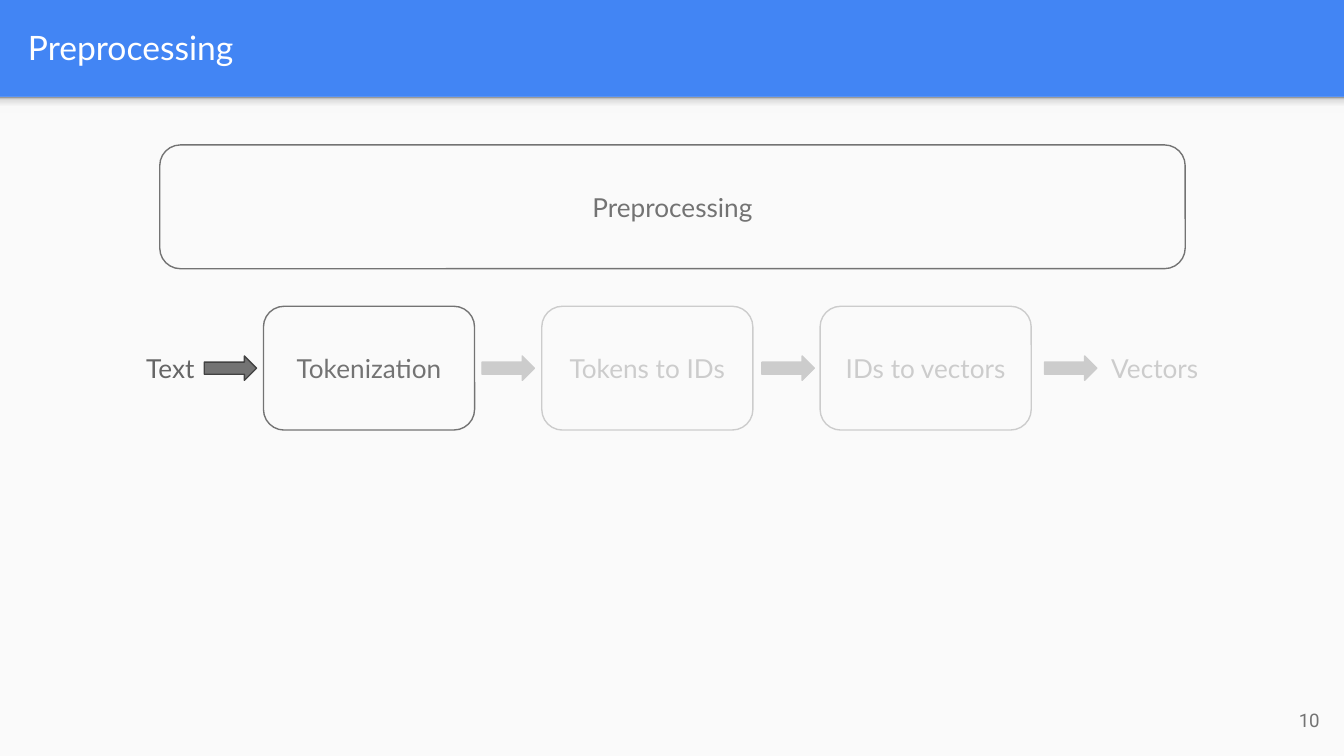
from dataclasses import dataclass
from typing import Optional

from lxml import etree
from pptx import Presentation
from pptx import util as u
from pptx.dml import color
from pptx.enum import shapes, text
from pptx.oxml import ns

BLUE, PAPER, WHITE = "4285F4", "FAFAFA", "FFFFFF"
ACTIVE, INACTIVE, LABEL, ARROW_EDGE = "737373", "CCCCCC", "666666", "424242"
SHADOW_STOPS = [(0, "F9F9F9"), (36, "F9F9F9"), (80, "DEDEDE"), (100, "999999")]
SLIDE_WIDTH, SLIDE_HEIGHT, HEADER_HEIGHT = 25.4, 14.29, 1.83
STEP_LEFT, STEP_TOP, STEP_PITCH = 4.98, 5.79, 5.26
STEP_WIDTH, BOX_HEIGHT = 3.99, 2.34
ARROW_WIDTH, ARROW_HEIGHT = 0.99, 0.46
FLOW_MIDDLE = STEP_TOP + BOX_HEIGHT / 2
LABEL_HEIGHT = 1.37


@dataclass
class Area:
    left: float
    top: float
    width: float
    height: float

    def lengths(self):
        return [u.Cm(value) for value in (self.left, self.top, self.width, self.height)]


@dataclass
class Step:
    caption: str
    tone: str


@dataclass
class Arrow:
    left: float
    fill: str
    edge: str


def rgb(value: str) -> color.RGBColor:
    return color.RGBColor.from_string(value)


def write(shape, content: str, *, tone: str, size: float = 14, font: str = "Lato",
          align=text.PP_ALIGN.CENTER) -> None:
    frame = shape.text_frame
    frame.word_wrap = True
    frame.vertical_anchor = text.MSO_ANCHOR.MIDDLE
    frame.margin_left = frame.margin_right = u.Cm(0.25)
    frame.margin_top = frame.margin_bottom = u.Cm(0.25)
    paragraph = frame.paragraphs[0]
    paragraph.alignment = align
    run = paragraph.add_run()
    run.text = content
    run.font.name = font
    run.font.size = u.Pt(size)
    run.font.color.rgb = rgb(tone)


def add_label(slide, area: Area, content: str, **style) -> None:
    write(slide.shapes.add_textbox(*area.lengths()), content, **style)


def add_shape(slide, kind, area: Area, fill: Optional[str] = None, edge: Optional[str] = None):
    shape = slide.shapes.add_shape(kind, *area.lengths())
    shape.shadow.inherit = False
    if fill:
        shape.fill.solid()
        shape.fill.fore_color.rgb = rgb(fill)
    else:
        shape.fill.background()
    if edge:
        shape.line.color.rgb = rgb(edge)
        shape.line.width = u.Pt(0.75)
    else:
        shape.line.fill.background()
    return shape


def add_box(slide, area: Area, caption: str, tone: str) -> None:
    box = add_shape(slide, shapes.MSO_SHAPE.ROUNDED_RECTANGLE, area, edge=tone)
    write(box, caption, tone=tone)


def add_header_shadow(slide) -> None:
    area = Area(0, HEADER_HEIGHT, SLIDE_WIDTH, 0.3)
    shape = add_shape(slide, shapes.MSO_SHAPE.RECTANGLE, area)
    shape.fill.gradient()
    shape.fill.gradient_angle = 90
    stops = shape.element.spPr.find(".//" + ns.qn("a:gsLst"))
    for stop in list(stops):
        stops.remove(stop)
    for position, value in SHADOW_STOPS:
        stop = etree.SubElement(stops, ns.qn("a:gs"), pos=str(position * 1000))
        etree.SubElement(stop, ns.qn("a:srgbClr"), val=value)


def main() -> None:
    presentation = Presentation()
    presentation.slide_width = u.Cm(SLIDE_WIDTH)
    presentation.slide_height = u.Cm(SLIDE_HEIGHT)
    slide = presentation.slides.add_slide(presentation.slide_layouts[6])
    slide.background.fill.solid()
    slide.background.fill.fore_color.rgb = rgb(BLUE)

    body = Area(0, HEADER_HEIGHT, SLIDE_WIDTH, SLIDE_HEIGHT - HEADER_HEIGHT)
    add_shape(slide, shapes.MSO_SHAPE.RECTANGLE, body, fill=PAPER)
    add_header_shadow(slide)
    add_label(slide, Area(0.28, 0.05, 24.51, 1.68), "Preprocessing",
              tone=WHITE, size=18, align=text.PP_ALIGN.LEFT)
    add_label(slide, Area(23.67, 13.06, 1.52, 1.09), "10",
              tone=ACTIVE, size=10, font="Roboto", align=text.PP_ALIGN.RIGHT)

    add_box(slide, Area(3.02, 2.74, 19.38, BOX_HEIGHT), "Preprocessing", ACTIVE)
    steps = [Step("Tokenization", ACTIVE), Step("Tokens to IDs", INACTIVE),
             Step("IDs to vectors", INACTIVE)]
    for index, step in enumerate(steps):
        left = STEP_LEFT + index * STEP_PITCH
        add_box(slide, Area(left, STEP_TOP, STEP_WIDTH, BOX_HEIGHT), step.caption, step.tone)

    arrows = [Arrow(3.86, ACTIVE, ARROW_EDGE), Arrow(9.11, INACTIVE, INACTIVE),
              Arrow(14.4, INACTIVE, INACTIVE), Arrow(19.74, INACTIVE, INACTIVE)]
    for arrow in arrows:
        area = Area(arrow.left, FLOW_MIDDLE - ARROW_HEIGHT / 2, ARROW_WIDTH, ARROW_HEIGHT)
        add_shape(slide, shapes.MSO_SHAPE.RIGHT_ARROW, area, arrow.fill, arrow.edge)

    label_top = FLOW_MIDDLE - LABEL_HEIGHT / 2
    add_label(slide, Area(2.46, label_top, 1.52, LABEL_HEIGHT), "Text", tone=LABEL)
    add_label(slide, Area(20.68, label_top, 2.29, LABEL_HEIGHT), "Vectors", tone=INACTIVE)

    presentation.save("out.pptx")


if __name__ == "__main__":
    main()
